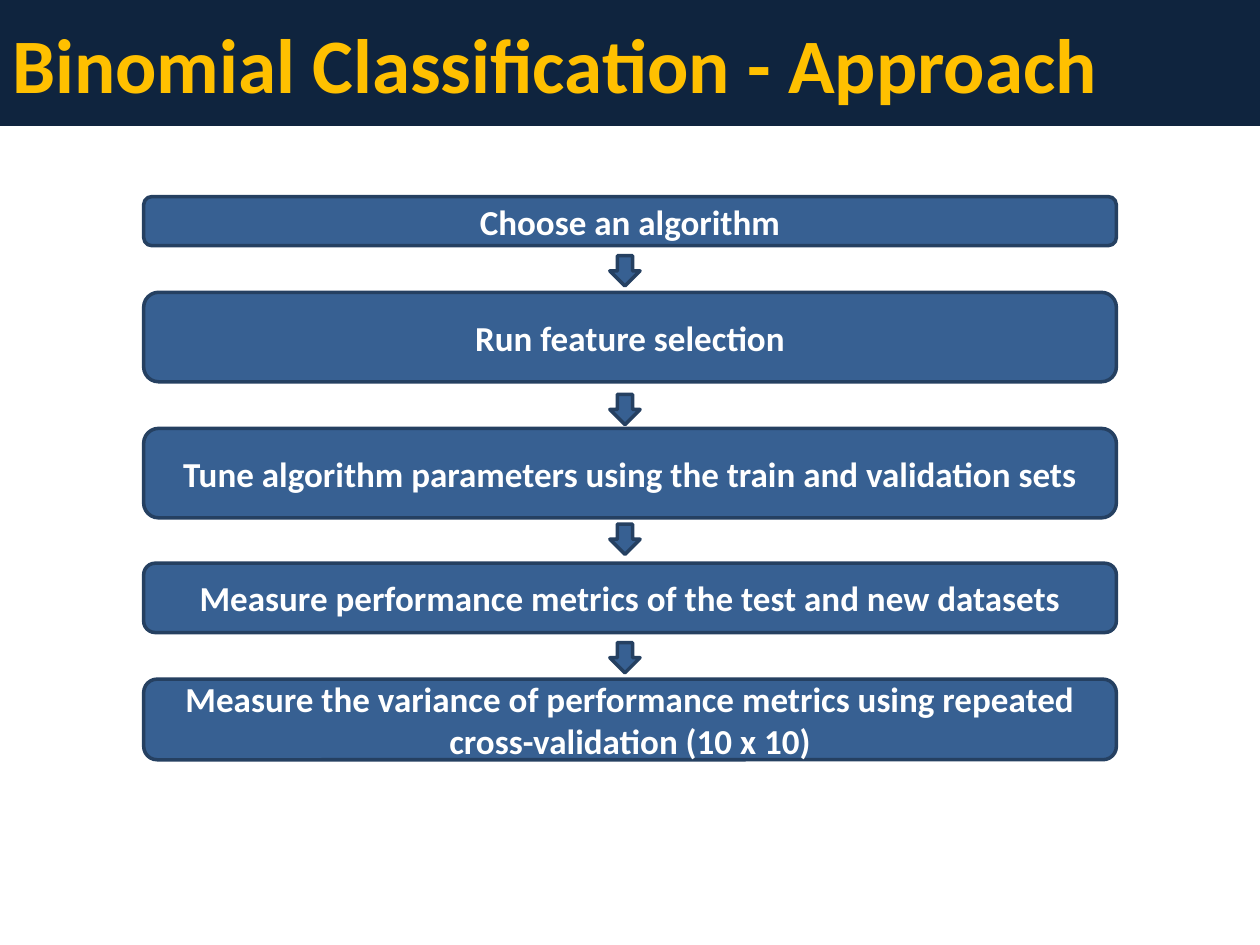
from pptx import Presentation
from pptx.dml.color import RGBColor
from pptx.enum import shapes, text
from pptx.util import Inches, Pt

NAVY = RGBColor(0x0F, 0x24, 0x3E)
GOLD = RGBColor(0xFF, 0xC0, 0x00)
BLUE = RGBColor(0x37, 0x60, 0x92)
DARK_BLUE = RGBColor(0x25, 0x40, 0x61)
WHITE = RGBColor(0xFF, 0xFF, 0xFF)

STEPS = [  # top, height, label
    (1.56, 0.39, "Choose an algorithm"),
    (2.32, 0.71, "Run feature selection"),
    (3.40, 0.71, "Tune algorithm parameters using the train and validation sets"),
    (4.47, 0.55, "Measure performance metrics of the test and new datasets"),
    (5.39, 0.64, "Measure the variance of performance metrics using repeated "
                 "cross-validation (10 x 10)"),
]
ARROW_TOPS = [2.03, 3.13, 4.16, 5.10]
ARROW_SIZE = 0.24

deck = Presentation()
deck.slide_width = Inches(10)
deck.slide_height = Inches(7.5)
page = deck.slides.add_slide(deck.slide_layouts[6])


def add_block(kind, left, top, width, height, fill, line):
    block = page.shapes.add_shape(
        kind, Inches(left), Inches(top), Inches(width), Inches(height))
    block.shadow.inherit = False
    block.fill.solid()
    block.fill.fore_color.rgb = fill
    block.line.color.rgb = line
    block.line.width = Pt(2)
    return block


def write(box, words, size, color, align):
    """Fill a box with one bold, vertically centred paragraph."""
    frame = box.text_frame
    frame.word_wrap = True
    frame.vertical_anchor = text.MSO_ANCHOR.MIDDLE
    para = frame.paragraphs[0]
    para.alignment = align
    span = para.add_run()
    span.text = words
    span.font.name = "Calibri"
    span.font.size = Pt(size)
    span.font.bold = True
    span.font.color.rgb = color


# Title band
add_block(shapes.MSO_SHAPE.RECTANGLE, 0, 0, 10, 0.99, NAVY, NAVY)
title = page.shapes.add_textbox(0, 0, Inches(9), Inches(0.99))
write(title, "Binomial Classification - Approach", 44, GOLD, text.PP_ALIGN.LEFT)

# Steps of the approach
for top, height, label in STEPS:
    step = add_block(shapes.MSO_SHAPE.ROUNDED_RECTANGLE,
                     1.14, top, 7.72, height, BLUE, DARK_BLUE)
    write(step, label, 20, WHITE, text.PP_ALIGN.CENTER)

# Arrows between the steps
for top in ARROW_TOPS:
    arrow = add_block(shapes.MSO_SHAPE.RIGHT_ARROW,
                      4.84, top, ARROW_SIZE, ARROW_SIZE, BLUE, DARK_BLUE)
    arrow.rotation = 90

deck.save("out.pptx")
